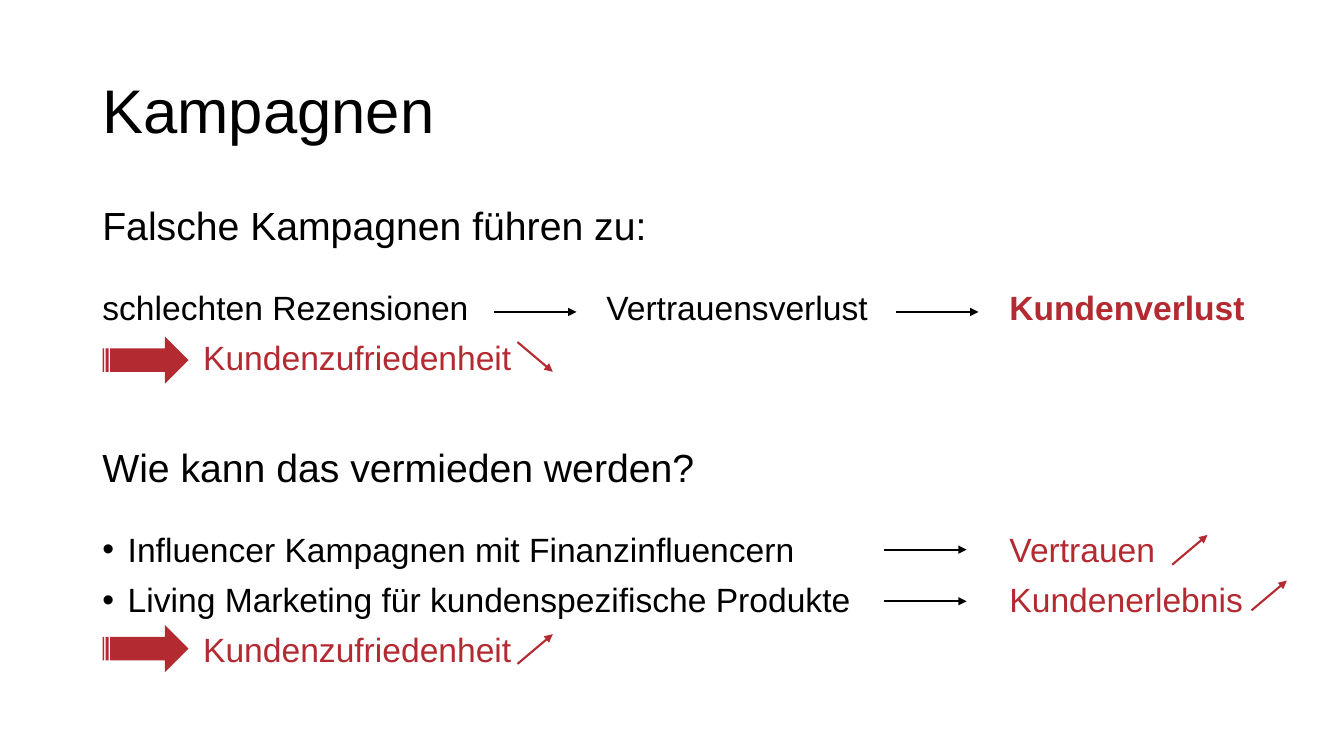
from lxml import etree
from pptx import Presentation, util as u
from pptx.dml.color import RGBColor
from pptx.enum import shapes, text
from pptx.oxml import ns

BLACK = RGBColor(0x00, 0x00, 0x00)
RED = RGBColor(0xB3, 0x2A, 0x31)
Cm, Pt = u.Cm, u.Pt
FONT = "Arial"


def add_text_frame(s, x, y, w, h, anchor):
    tf = s.shapes.add_textbox(Cm(x), Cm(y), Cm(w), Cm(h)).text_frame
    tf.word_wrap = True
    tf.vertical_anchor = anchor
    return tf


def fill_paragraph(p, runs, size, before=0, bullet=False):
    p.line_spacing = 0.9
    p.space_before = Pt(before)
    p.font.name = FONT
    p.font.size = Pt(size)
    for words, color, bold in runs:
        r = p.add_run()
        r.text = words
        r.font.color.rgb = color
        r.font.bold = bold
    pPr = p._p.get_or_add_pPr()
    pPr.set("defTabSz", str(Cm(2.54)))
    if bullet:
        pPr.set("marL", str(Cm(0.64)))
        pPr.set("indent", str(-Cm(0.64)))
        defaults = pPr.find(ns.qn("a:defRPr"))
        defaults.addprevious(etree.Element(ns.qn("a:buFont"), typeface=FONT))
        defaults.addprevious(etree.Element(ns.qn("a:buChar"), char="•"))


def add_arrow(s, x, y, dx, dy, color):
    c = s.shapes.add_connector(shapes.MSO_CONNECTOR.STRAIGHT,
                               Cm(x), Cm(y), Cm(x + dx), Cm(y + dy))
    c.line.color.rgb = color
    c.line.width = Pt(1.5)
    ln = c.line._get_or_add_ln()
    etree.SubElement(ln, ns.qn("a:tailEnd"), type="triangle")
    etree.SubElement(c._element.spPr, ns.qn("a:effectLst"))


def add_striped_arrow(s, x, y):
    sp = s.shapes.add_shape(shapes.MSO_SHAPE.STRIPED_RIGHT_ARROW,
                            Cm(x), Cm(y), Cm(2.16), Cm(1.19))
    sp.shadow.inherit = False
    sp.fill.solid()
    sp.fill.fore_color.rgb = RED
    sp.line.fill.background()


def add_body(s):
    tf = add_text_frame(s, 2.33, 5.08, 31.54, 13.97, text.MSO_ANCHOR.TOP)
    satisfaction = [("\tKundenzufriedenheit", RED, False)]
    rows = [
        ([("Falsche Kampagnen führen zu:", BLACK, False)], 28, 10, False),
        ([("schlechten Rezensionen\t\tVertrauensverlust\t\t", BLACK, False),
          ("Kundenverlust", RED, True)], 24, 30.5, False),
        (satisfaction, 24, 10, False),
        ([("Wie kann das vermieden werden?", BLACK, False)], 28, 50, False),
        ([("Influencer Kampagnen mit Finanzinfluencern\t\t\t", BLACK, False),
          ("Vertrauen", RED, False)], 24, 30.5, True),
        ([("Living Marketing für kundenspezifische Produkte\t\t", BLACK, False),
          ("Kundenerlebnis", RED, False)], 24, 10, True),
        (satisfaction, 24, 10, False),
    ]
    for i, row in enumerate(rows):
        p = tf.add_paragraph() if i else tf.paragraphs[0]
        fill_paragraph(p, *row)


def main():
    prs = Presentation()
    prs.slide_width, prs.slide_height = Cm(33.87), Cm(19.05)
    s = prs.slides.add_slide(prs.slide_layouts[6])

    title = add_text_frame(s, 2.33, 1.02, 29.21, 3.68, text.MSO_ANCHOR.MIDDLE)
    fill_paragraph(title.paragraphs[0], [("Kampagnen", BLACK, False)], 44)
    add_body(s)

    for x, y in [(12.45, 7.86), (22.58, 7.86), (22.28, 13.85), (22.28, 15.15)]:
        add_arrow(s, x, y, 2.08, 0, BLACK)
    for y in (8.48, 15.75):
        add_striped_arrow(s, 2.59, y)
    for x, y, rise in [(29.54, 14.23, -0.75), (31.54, 15.38, -0.75),
                       (13.04, 8.62, 0.75), (13.04, 16.73, -0.75)]:
        add_arrow(s, x, y, 0.89, rise, RED)

    prs.save("out.pptx")


main()
